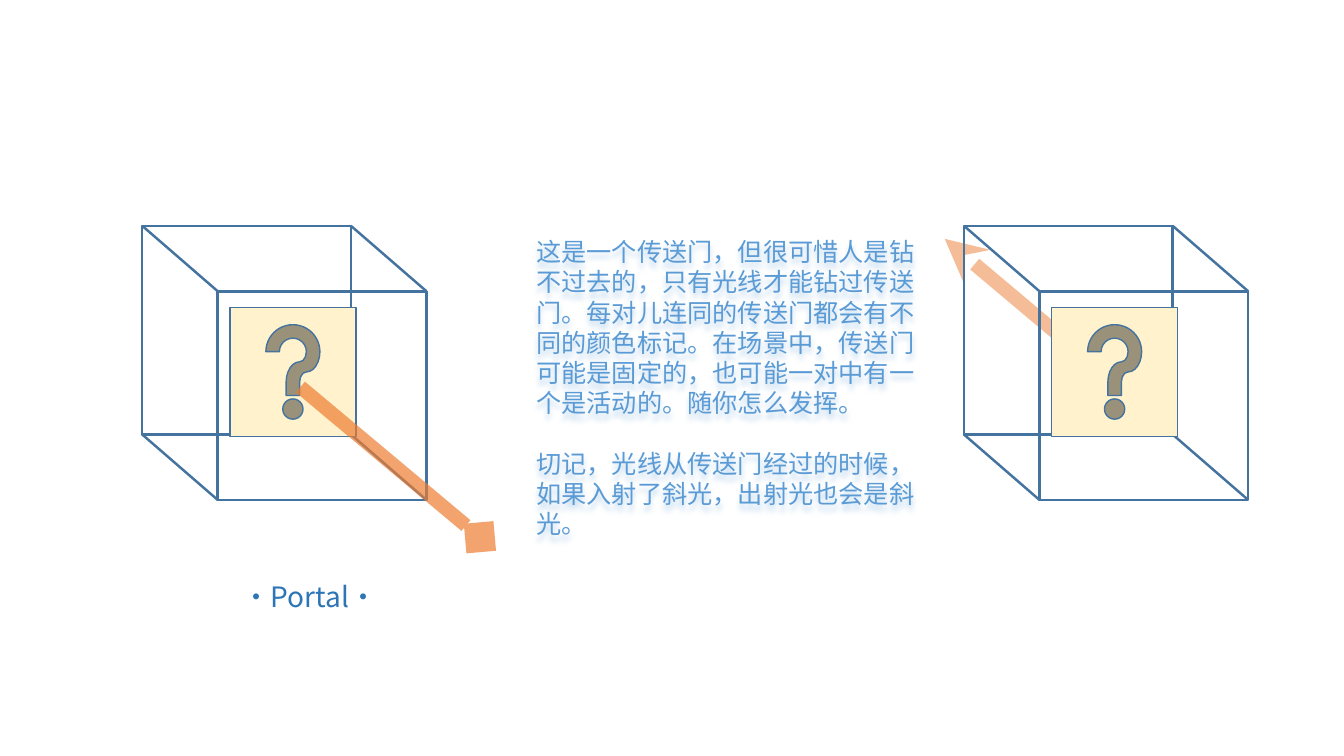
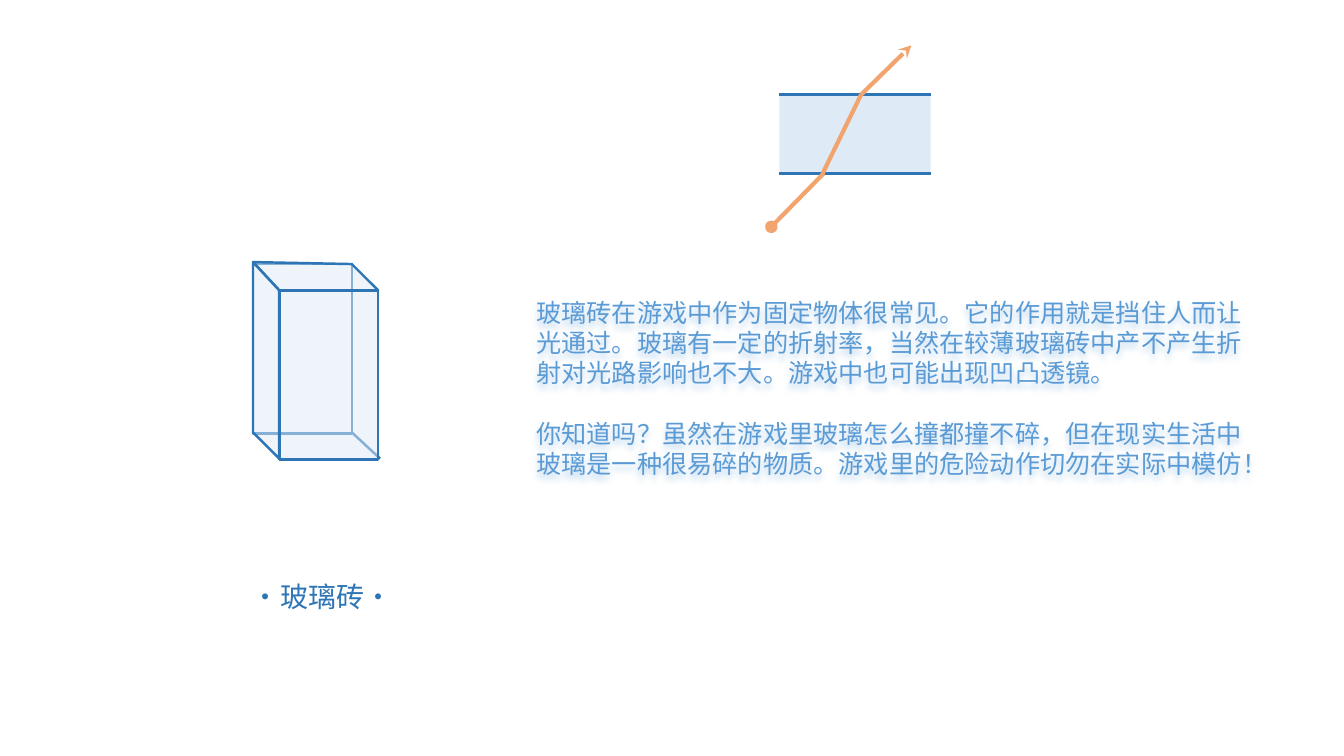
import pptx
import pptx.util
import pptx.dml.color
import pptx.enum.shapes
import pptx.enum.text
import pptx.oxml
import pptx.oxml.ns

Inches = pptx.util.Inches
Pt = pptx.util.Pt
RGBColor = pptx.dml.color.RGBColor
MSO_SHAPE = pptx.enum.shapes.MSO_SHAPE
qn = pptx.oxml.ns.qn

STEEL = RGBColor(0x43, 0x73, 0x9E)
BLUE = RGBColor(0x2E, 0x75, 0xB6)
TEXT_BLUE = RGBColor(0x5B, 0x9B, 0xD5)
GLASS = RGBColor(0xDE, 0xEB, 0xF7)
CREAM = RGBColor(0xFF, 0xF2, 0xCC)
ORANGE = RGBColor(0xED, 0x7D, 0x31)
LIGHT_ORANGE = RGBColor(0xF2, 0xA4, 0x6E)
TEXT_SHADOW = RGBColor(0xBD, 0xD7, 0xEE)

LATIN_FONT = "Calibri"
CJK_FONT = "Noto Sans CJK SC"
EDGE = 1.75


def draw_line(slide, start, end, color, width, opacity=100, head=None, tail=None):
    line = slide.shapes.add_connector(
        pptx.enum.shapes.MSO_CONNECTOR.STRAIGHT,
        Inches(start[0]), Inches(start[1]), Inches(end[0]), Inches(end[1]))
    line.line.color.rgb = color
    line.line.width = Pt(width)
    ln = line.line._get_or_add_ln()
    if opacity < 100:
        rgb = ln.find(".//" + qn("a:srgbClr"))
        rgb.append(rgb.makeelement(qn("a:alpha"), {"val": str(opacity * 1000)}))
    for tag, kind in (("a:headEnd", head), ("a:tailEnd", tail)):
        if kind:
            ln.append(ln.makeelement(qn(tag), {"type": kind}))
    properties = line._element.spPr
    properties.append(properties.makeelement(qn("a:effectLst"), {}))


def draw_shape(slide, kind, box, fill=None, color=None, width=EDGE):
    shape = slide.shapes.add_shape(kind, *[Inches(value) for value in box])
    shape.shadow.inherit = False
    if fill is None:
        shape.fill.background()
    else:
        shape.fill.solid()
        shape.fill.fore_color.rgb = fill
    if color is None:
        shape.line.fill.background()
    else:
        shape.line.color.rgb = color
        shape.line.width = Pt(width)
    return shape


deck = pptx.Presentation()
deck.slide_width = Inches(13.33)
deck.slide_height = Inches(7.5)

# Caption, its left and width, width of the description, description
pages = [
    ("·Portal·", 1.92, 2.31, 4.1, [
        "这是一个传送门，但很可惜人是钻不过去的，只有光线才能钻过传送门。"
        "每对儿连同的传送门都会有不同的颜色标记。在场景中，传送门可能是固定的，"
        "也可能一对中有一个是活动的。随你怎么发挥。",
        "切记，光线从传送门经过的时候，如果入射了斜光，出射光也会是斜光。"]),
    ("·玻璃砖·", 2.16, 2.07, 7.41, [
        "玻璃砖在游戏中作为固定物体很常见。它的作用就是挡住人而让光通过。"
        "玻璃有一定的折射率，当然在较薄玻璃砖中产不产生折射对光路影响也不大。"
        "游戏中也可能出现凹凸透镜。",
        "你知道吗？虽然在游戏里玻璃怎么撞都撞不碎，但在现实生活中玻璃是一种很易碎的物质。"
        "游戏里的危险动作切勿在实际中模仿！"]),
]

# Captions and descriptions
slides = []
for caption, caption_left, caption_width, body_width, paragraphs in pages:
    slide = deck.slides.add_slide(deck.slide_layouts[5])
    slides.append(slide)

    title = slide.shapes.title
    title.left, title.top = Inches(caption_left), Inches(5.7)
    title.width, title.height = Inches(caption_width), Inches(0.44)
    title.text_frame.text = caption
    title.text_frame.paragraphs[0].alignment = pptx.enum.text.PP_ALIGN.CENTER

    description = draw_shape(slide, MSO_SHAPE.RECTANGLE, (5.22, 0.94, body_width, 5.81))
    frame = description.text_frame
    frame.word_wrap = True
    frame.vertical_anchor = pptx.enum.text.MSO_ANCHOR.MIDDLE
    frame.text = "\n".join(paragraphs)
    for paragraph in frame.paragraphs:
        paragraph.alignment = pptx.enum.text.PP_ALIGN.LEFT
    frame.paragraphs[1].space_before = Pt(21.6)

    effects = description._element.spPr.find(qn("a:effectLst"))
    effects.append(pptx.oxml.parse_xml(
        '<a:outerShdw xmlns:a="http://schemas.openxmlformats.org/drawingml/2006/main"'
        f' blurRad="{Pt(4)}" dist="{Pt(4)}" dir="5400000" algn="t" rotWithShape="0">'
        f'<a:srgbClr val="{TEXT_SHADOW}"/></a:outerShdw>'))

    for text_frame, font, size, color in (
            (title.text_frame, CJK_FONT, 20, BLUE),
            (frame, LATIN_FONT, 18, TEXT_BLUE)):
        for paragraph in text_frame.paragraphs:
            for run in paragraph.runs:
                run.font.name = font
                run.font.size = Pt(size)
                run.font.color.rgb = color
                latin = run.font._element.find(qn("a:latin"))
                latin.addnext(latin.makeelement(qn("a:ea"), {"typeface": CJK_FONT}))

portal_slide, glass_slide = slides

# Portals: a wire cube with a sign on its front, the light leaving behind the second
CUBE_TOP, CUBE_SIDE = 2.24, 2.07
DEPTH_X, DEPTH_Y = 0.75, 0.65
draw_line(portal_slide, (9.37, 2.37), (11.14, 3.86), ORANGE, 10, 50, head="stealth")
for cube_left in (1.41, 9.56):
    for dx, dy in ((0, 0), (DEPTH_X, DEPTH_Y)):
        draw_shape(portal_slide, MSO_SHAPE.RECTANGLE,
                   (cube_left + dx, CUBE_TOP + dy, CUBE_SIDE, CUBE_SIDE), color=STEEL)
    for x in (cube_left, cube_left + CUBE_SIDE):
        for y in (CUBE_TOP, CUBE_TOP + CUBE_SIDE):
            draw_line(portal_slide, (x, y), (x + DEPTH_X, y + DEPTH_Y), STEEL, EDGE)
    draw_shape(portal_slide, MSO_SHAPE.ACTION_BUTTON_HELP,
               (cube_left + 0.87, 3.05, 1.25, 1.28), CREAM, STEEL, 1)
draw_line(portal_slide, (2.98, 3.84), (4.76, 5.33), ORANGE, 10, 70, tail="diamond")

# Glass brick: back face and hidden edge, then translucent front, top and left faces
draw_line(glass_slide, (3.49, 4.29), (3.77, 4.55), BLUE, EDGE)
draw_shape(glass_slide, MSO_SHAPE.RECTANGLE, (2.51, 2.62, 0.98, 1.68), color=BLUE)
faces = [draw_shape(glass_slide, MSO_SHAPE.RECTANGLE,
                    (2.77, 2.88, 0.98, 1.68), GLASS, BLUE)]
for outline in (
        [(2.51, 2.6), (2.77, 2.88), (3.75, 2.88), (3.49, 2.62)],
        [(2.51, 2.6), (2.77, 2.88), (2.77, 4.55), (2.51, 4.29)]):
    corners = [(Inches(x), Inches(y)) for x, y in outline]
    builder = glass_slide.shapes.build_freeform(*corners[0])
    builder.add_line_segments(corners[1:], close=True)
    face = builder.convert_to_shape()
    face.shadow.inherit = False
    face.fill.solid()
    face.fill.fore_color.rgb = GLASS
    face.line.color.rgb = BLUE
    face.line.width = Pt(EDGE)
    faces.append(face)
for face in faces:
    rgb = face._element.spPr.find(qn("a:solidFill")).find(qn("a:srgbClr"))
    rgb.append(rgb.makeelement(qn("a:alpha"), {"val": "50000"}))

# Refraction diagram: slab, its two surfaces and the bent ray
SLAB_LEFT, SLAB_TOP, SLAB_WIDTH, SLAB_HEIGHT = 7.73, 0.94, 1.5, 0.78
draw_shape(glass_slide, MSO_SHAPE.RECTANGLE,
           (SLAB_LEFT, SLAB_TOP, SLAB_WIDTH, SLAB_HEIGHT), GLASS)
for surface in (SLAB_TOP, SLAB_TOP + SLAB_HEIGHT):
    draw_line(glass_slide, (SLAB_LEFT, surface), (SLAB_LEFT + SLAB_WIDTH, surface), BLUE, EDGE)
for start, end, head, tail in (
        ((7.65, 2.25), (8.17, 1.72), "oval", None),
        ((8.54, 0.94), (9.04, 0.45), None, "stealth"),
        ((8.16, 1.72), (8.54, 0.94), None, None)):
    draw_line(glass_slide, start, end, LIGHT_ORANGE, 3, head=head, tail=tail)

deck.save("out.pptx")
